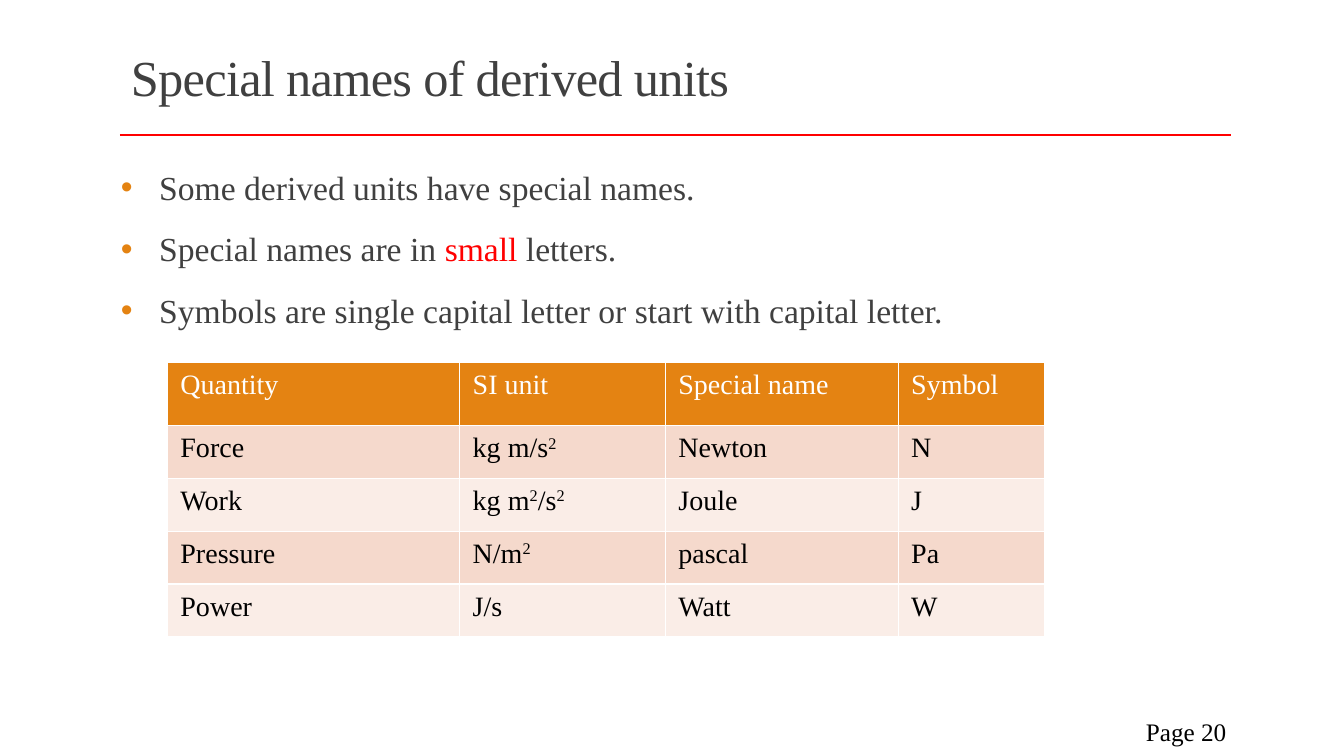
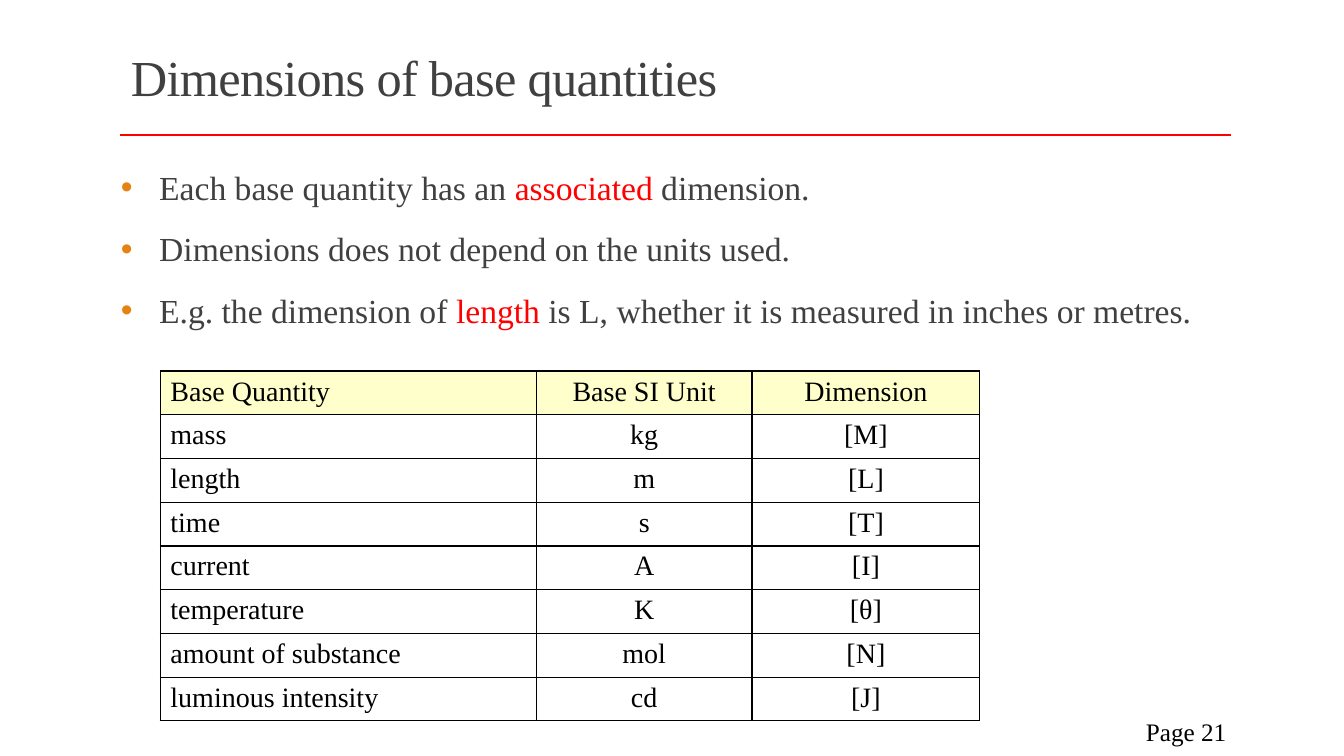
from lxml.etree import SubElement
from pptx import Presentation
from pptx.dml.color import RGBColor
from pptx.enum.shapes import MSO_CONNECTOR
from pptx.enum.text import MSO_ANCHOR, PP_ALIGN
from pptx.oxml import parse_xml
from pptx.oxml.ns import nsdecls, qn
from pptx.util import Inches, Pt

# Colours
BLACK = RGBColor(0, 0, 0)
WHITE = RGBColor(0xFF, 0xFF, 0xFF)
RED = RGBColor(0xFF, 0, 0)
GREY = RGBColor(0x40, 0x40, 0x40)
ORANGE = RGBColor(0xE4, 0x83, 0x12)
PEACH = RGBColor(0xF5, 0xD9, 0xCC)
PALE_PEACH = RGBColor(0xFA, 0xED, 0xE7)
CREAM = RGBColor(0xFF, 0xFF, 0xCC)

# Text and paragraph formats
FONT = "Times New Roman"
TITLE = dict(size=Pt(36), color=GREY)
BODY = dict(size=Pt(24), color=GREY)
FOOTER = dict(size=Pt(18), color=BLACK)
CELL = dict(size=Pt(20), color=BLACK)
BULLET_PARAGRAPH = dict(line_spacing=1.1, space_before=Pt(6), space_after=Pt(6))


class Deck:
    """Builds slides; lengths are percentages of the slide's width and height."""

    def __init__(self):
        self.prs = Presentation()
        self.prs.slide_width, self.prs.slide_height = Inches(13.33), Inches(7.5)
        self.s = None

    def x(self, share):
        return round(self.prs.slide_width * share / 100)

    def y(self, share):
        return round(self.prs.slide_height * share / 100)

    def box(self, left, top, width, height):
        return self.x(left), self.y(top), self.x(width), self.y(height)

    def slide(self, title, page):
        self.s = self.prs.slides.add_slide(self.prs.slide_layouts[6])
        self.rule(8.93, 91.6, 17.87)
        tf = self.text_box(9, 4.13, 82.5, 13.07)
        self.add_text(tf.paragraphs[0], title, TITLE, line_spacing=0.85)
        for r in tf.paragraphs[0].runs:
            r.font._element.set("spc", "-50")
        tf = self.text_box(81.25, 94.13, 10.73, 5.33)
        self.add_text(tf.paragraphs[0], f"Page {page}", FOOTER, alignment=PP_ALIGN.RIGHT)

    def rule(self, left, right, top):
        line = self.s.shapes.add_connector(
            MSO_CONNECTOR.STRAIGHT, self.x(left), self.y(top), self.x(right), self.y(top))
        line.line.color.rgb = RED
        line.line.width = Pt(2)
        SubElement(line._element.spPr, qn("a:effectLst"))

    def text_box(self, left, top, width, height, anchor=MSO_ANCHOR.MIDDLE):
        tf = self.s.shapes.add_textbox(*self.box(left, top, width, height)).text_frame
        tf.word_wrap = True
        tf.vertical_anchor = anchor
        return tf

    def add_text(self, p, text, style, **paragraph_format):
        """Add text where *words* are red and ^figures^ are raised."""
        for name, value in paragraph_format.items():
            setattr(p, name, value)
        for i, part in enumerate(text.split("*")):
            for j, piece in enumerate(part.split("^")):
                if not piece:
                    continue
                r = p.add_run()
                r.text = piece
                r.font.name, r.font.size = FONT, style["size"]
                r.font.color.rgb = RED if i % 2 else style["color"]
                if j % 2:
                    r.font._element.set("baseline", "30000")

    def bullets(self, items):
        tf = self.text_box(9, 20.93, 82.65, 68.27, MSO_ANCHOR.TOP)
        tf.margin_left = tf.margin_right = 0
        for i, item in enumerate(items):
            p = tf.add_paragraph() if i else tf.paragraphs[0]
            self.add_text(p, item, BODY, **BULLET_PARAGRAPH)
            pPr = p._p.get_or_add_pPr()
            pPr.set("marL", str(Inches(0.38)))
            pPr.set("indent", str(-Inches(0.38)))
            colour = SubElement(pPr, qn("a:buClr"))
            SubElement(colour, qn("a:srgbClr"), val=str(ORANGE))
            SubElement(pPr, qn("a:buFont"), typeface="Arial")
            SubElement(pPr, qn("a:buChar"), char="•")

    def table(self, left, top, widths, heights, rows, fills, border,
              head_color=BLACK, centred=False, margins=None):
        """fills holds the header's colour, then the colours the rows alternate."""
        head_fill, *bands = fills
        frame = self.s.shapes.add_table(
            len(rows), len(widths), *self.box(left, top, sum(widths), sum(heights)))
        table = frame.table
        table.first_row = table.horz_banding = False
        for column, width in zip(table.columns, widths):
            column.width = self.x(width)
        for i, (row, height, texts) in enumerate(zip(table.rows, heights, rows)):
            row.height = self.y(height)
            fill = bands[(i - 1) % len(bands)] if i else head_fill
            style = CELL if i else dict(CELL, color=head_color)
            for j, (cell, text) in enumerate(zip(row.cells, texts)):
                for name, value in (margins or {}).items():
                    setattr(cell, name, value)
                align = PP_ALIGN.CENTER if centred and j else PP_ALIGN.LEFT
                self.add_text(cell.text_frame.paragraphs[0], text, style, alignment=align)
                cell.fill.solid()
                cell.fill.fore_color.rgb = fill
                self.borders(cell, border)

    def borders(self, cell, color):
        tcPr = cell._tc.get_or_add_tcPr()
        for i, side in enumerate("LRTB"):
            tcPr.insert(i, parse_xml(
                f'<a:ln{side} {nsdecls("a")} w="{Pt(1)}"><a:solidFill>'
                f'<a:srgbClr val="{color}"/></a:solidFill></a:ln{side}>'))


deck = Deck()

# Special names of derived units
deck.slide("Special names of derived units", 20)
deck.bullets([
    "Some derived units have special names.",
    "Special names are in *small* letters.",
    "Symbols are single capital letter or start with capital letter.",
])
derived_units = [
    ("Quantity", "SI unit", "Special name", "Symbol"),
    ("Force", "kg m/s^2^", "Newton", "N"),
    ("Work", "kg m^2^/s^2^", "Joule", "J"),
    ("Pressure", "N/m^2^", "pascal", "Pa"),
    ("Power", "J/s", "Watt", "W"),
]
deck.table(12.45, 48, [21.75, 15.3, 17.33, 10.88], [8.27] + [7] * 4, derived_units,
           [ORANGE, PEACH, PALE_PEACH], WHITE, head_color=WHITE,
           margins=dict(margin_left=Inches(0.13), margin_right=Inches(0.13),
                        margin_top=Inches(0.07), margin_bottom=Inches(0.07)))

# Dimensions of base quantities
deck.slide("Dimensions of base quantities", 21)
deck.bullets([
    "Each base quantity has an *associated* dimension.",
    "Dimensions does not depend on the units used.",
    "E.g. the dimension of *length* is L, whether it is measured in inches or metres.",
])
base_quantities = [
    ("Base Quantity", "Base SI Unit", "Dimension"),
    ("mass", "kg", "[M]"),
    ("length", "m", "[L]"),
    ("time", "s", "[T]"),
    ("current", "A", "[I]"),
    ("temperature", "K", "[θ]"),
    ("amount of substance", "mol", "[N]"),
    ("luminous intensity", "cd", "[J]"),
]
deck.table(11.93, 49.07, [27.98, 16.05, 16.95], [5.44] * 8, base_quantities,
           [CREAM, WHITE], BLACK, centred=True)

deck.prs.save("out.pptx")
